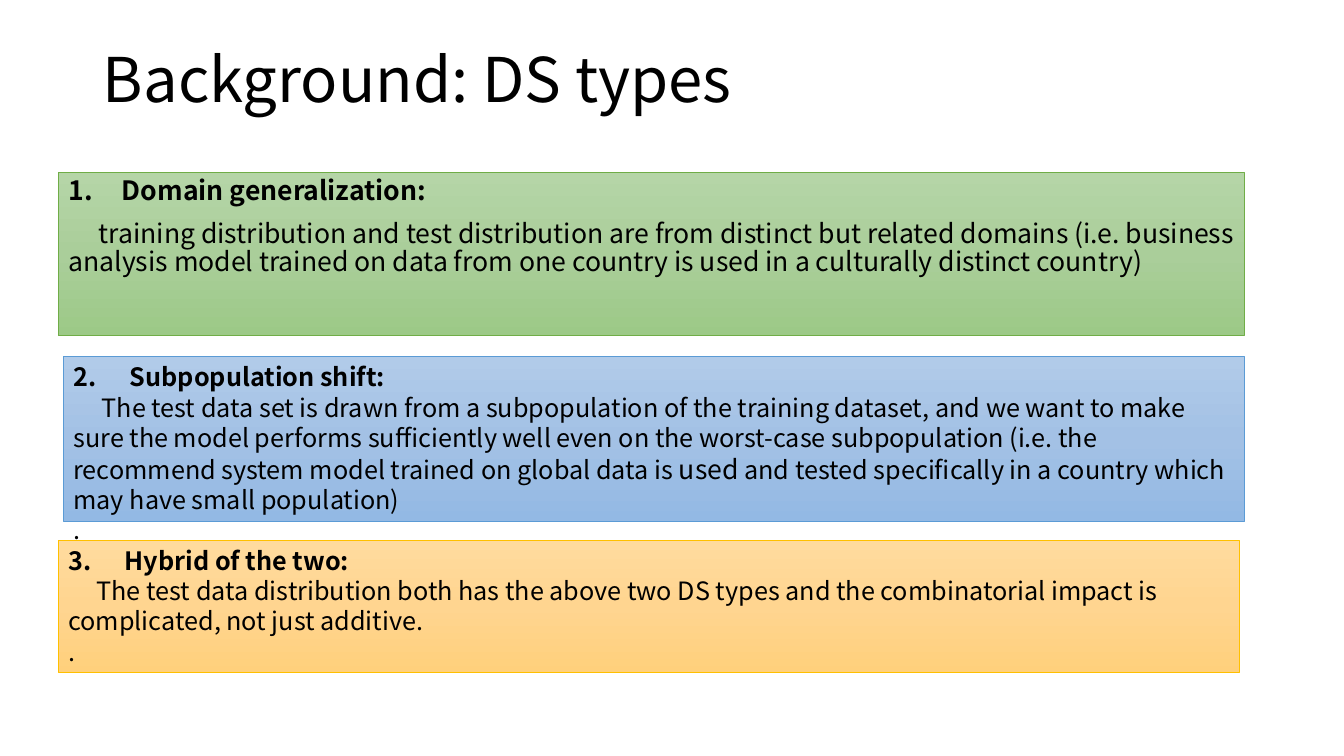
"""Build the slide that lists the three types of distribution shift."""
from copy import deepcopy

from lxml import etree
from pptx import Presentation
from pptx.dml.color import RGBColor
from pptx.enum.shapes import MSO_SHAPE
from pptx.enum.text import MSO_ANCHOR, MSO_AUTO_SIZE, PP_ALIGN
from pptx.oxml.ns import qn
from pptx.util import Inches, Pt

RECT = MSO_SHAPE.RECTANGLE
TOP, MIDDLE = MSO_ANCHOR.TOP, MSO_ANCHOR.MIDDLE
NO_FIT = MSO_AUTO_SIZE.NONE
LEFT = PP_ALIGN.LEFT
FONT = "Noto Sans CJK SC"
COLORS = {
    "text": "000000",
    "green": ["B5D5A7", "AACE9A", "9CC987"],
    "green_line": "70AD47",
    "blue": ["B1CBE9", "A3C1E5", "93B9E4"],
    "blue_line": "5B9BD5",
    "orange": ["FFDB9E", "FFD590", "FFD07C"],
    "orange_line": "FFC000",
}
BOXES = [
    {"at": (0.58, 1.71, 11.76, 1.62), "color": "green", "size": 19,
     "hang": 0.53, "first": 0.3, "format": {"line_spacing": 0.9, "space_before": Pt(10)},
     "head": "Domain generalization:",
     "body": [[("training distribution and test distribution are from distinct but related "
                "domains (i.e. business analysis model trained on data from one country is "
                "used in a culturally distinct country)", 19)]]},
    {"at": (0.63, 3.54, 11.71, 1.63), "color": "blue", "size": 18,
     "hang": 0.56, "first": 0.28, "format": {"line_spacing": 1.0, "space_before": Pt(0)},
     "head": "Subpopulation shift:",
     "body": [[("The test data set is drawn from a subpopulation of the training dataset, and "
                "we want to make sure the model performs sufficiently well even on the "
                "worst-case subpopulation (i.e. the recommend system model trained on global "
                "data is ", 18),
               ("used", 19),
               (" and tested specifically in a country which may have small population)", 18)],
              [(".", 18)]]},
    {"at": (0.58, 5.36, 11.71, 1.31), "color": "orange", "size": 18,
     "hang": 0.56, "first": 0.28, "format": {"line_spacing": 1.0, "space_before": Pt(0)},
     "head": "Hybrid of the two:",
     "body": [[("The test data distribution both has the above two DS types and the "
                "combinatorial impact is complicated, not just additive.", 18)],
              [(".", 18)]]},
]


def add_run(p, text, size, bold=False):
    r = p.add_run()
    r.text = text
    for name, value in {"name": FONT, "size": Pt(size), "bold": bold}.items():
        setattr(r.font, name, value)
    r.font.color.rgb = RGBColor.from_string(COLORS["text"])


def indent(p, margin, first, number=None):
    pPr = p._p.get_or_add_pPr()
    pPr.set("marL", str(Inches(margin)))
    pPr.set("indent", str(Inches(first)))
    if number:
        bu = etree.SubElement(pPr, qn("a:buAutoNum"), type="arabicPeriod")
        bu.set("startAt", str(number))
    else:
        etree.SubElement(pPr, qn("a:buNone"))


prs = Presentation()
prs.slide_width, prs.slide_height = Inches(13.33), Inches(7.5)
s = prs.slides.add_slide(prs.slide_layouts[1])

title = s.shapes.title
title.left, title.top, title.width, title.height = map(Inches, (0.92, 0.4, 11.5, 0.83))
tf = title.text_frame
tf.vertical_anchor, tf.auto_size = MIDDLE, NO_FIT
p = tf.paragraphs[0]
p.alignment, p.line_spacing = LEFT, 0.9
add_run(p, "Background: DS types", 44)

for number, box in enumerate(BOXES, 1):
    at = [Inches(v) for v in box["at"]]
    if number == 1:
        sp = s.placeholders[1]
        sp.left, sp.top, sp.width, sp.height = at
    else:
        sp = s.shapes.add_shape(RECT, *at)
        sp.shadow.inherit = False

    sp.fill.gradient()
    sp.fill.gradient_angle = 270
    stops = sp._element.spPr.find(".//" + qn("a:gsLst"))
    stops.append(deepcopy(stops[0]))
    for i, stop in enumerate(sp.fill.gradient_stops):
        stop.color.rgb = RGBColor.from_string(COLORS[box["color"]][i])
        stop.position = i / 2
    sp.line.color.rgb = RGBColor.from_string(COLORS[box["color"] + "_line"])
    sp.line.width = Pt(0.5)

    tf = sp.text_frame
    tf.word_wrap, tf.vertical_anchor, tf.auto_size = True, TOP, NO_FIT
    for i, runs in enumerate([[(box["head"], box["size"])]] + box["body"]):
        p = tf.add_paragraph() if i else tf.paragraphs[0]
        p.alignment = LEFT
        for name, value in box["format"].items():
            setattr(p, name, value)
        if i == 0:
            indent(p, box["hang"], -box["hang"], number)
        else:
            indent(p, 0, box["first"] if i == 1 else 0)
        for text, size in runs:
            add_run(p, text, size, bold=i == 0)

prs.save("out.pptx")
